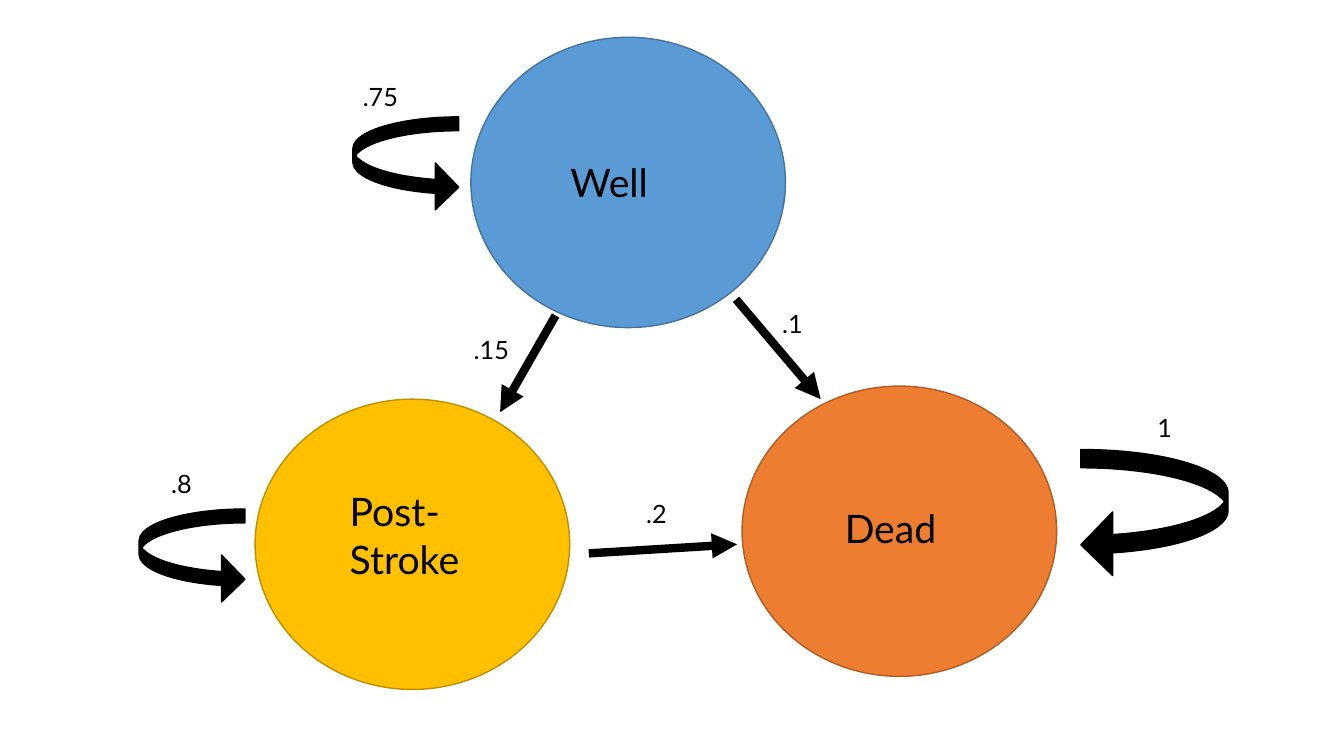
import pptx
import pptx.util
import pptx.dml.color
import pptx.enum.dml
import pptx.enum.shapes
import pptx.enum.text
import pptx.oxml.ns
import lxml.etree
import dataclasses


@dataclasses.dataclass
class Theme:
    font: str = "Lato"
    ink: str = "000000"
    well: tuple = ("5B9BD5", "43739E")
    stroke: tuple = ("FFC000", "BD8E00")
    dead: tuple = ("ED7D31", "AF5C24")
    state_size: int = 28
    label_size: int = 18
    outline: int = 1
    arrow: int = 6


theme = Theme()
Inches = pptx.util.Inches
MSO_SHAPE = pptx.enum.shapes.MSO_SHAPE
qn = pptx.oxml.ns.qn

prs = pptx.Presentation()
prs.slide_width = Inches(13.33)
prs.slide_height = Inches(7.5)
s = prs.slides.add_slide(prs.slide_layouts[6])


def add_text(text, left, top, width, height, size, color=theme.ink):
    tb = s.shapes.add_textbox(Inches(left), Inches(top), Inches(width), Inches(height))
    tf = tb.text_frame
    tf.word_wrap = True
    tf.auto_size = pptx.enum.text.MSO_AUTO_SIZE.SHAPE_TO_FIT_TEXT
    r = tf.paragraphs[0].add_run()
    r.text = text
    r.font.name = theme.font
    r.font.size = pptx.util.Pt(size)
    r.font.color.rgb = pptx.dml.color.RGBColor.from_string(color)


def add_filled(kind, left, top, width, height, fill, line):
    sp = s.shapes.add_shape(kind, Inches(left), Inches(top), Inches(width), Inches(height))
    sp.shadow.inherit = False
    sp.fill.solid()
    sp.fill.fore_color.rgb = pptx.dml.color.RGBColor.from_string(fill)
    sp.line.color.rgb = pptx.dml.color.RGBColor.from_string(line)
    sp.line.width = pptx.util.Pt(theme.outline)
    return sp


states = [
    ("Well", 4.67, 0.37, theme.well, 5.56, 1.52, 0.57),
    ("Post-Stroke", 2.53, 3.96, theme.stroke, 3.37, 4.79, 1.04),
    ("Dead", 7.36, 3.83, theme.dead, 8.28, 4.95, 0.57),
]
for name, left, top, colors, text_left, text_top, text_height in states:
    add_filled(MSO_SHAPE.OVAL, left, top, 3.12, 2.88, *colors)
    add_text(name, text_left, text_top, 1.65, text_height, theme.state_size)

transitions = [
    (5.51, 3.13, 4.96, 4.09),
    (7.3, 2.97, 8.14, 3.96),
    (5.84, 5.49, 7.31, 5.4),
]
for ends in transitions:
    cxn = s.shapes.add_connector(
        pptx.enum.shapes.MSO_CONNECTOR.STRAIGHT, *[Inches(v) for v in ends])
    cxn.line.color.rgb = pptx.dml.color.RGBColor.from_string(theme.ink)
    cxn.line.width = pptx.util.Pt(theme.arrow)
    lxml.etree.SubElement(cxn.line._get_or_add_ln(), qn("a:tailEnd"), type="triangle")
    lxml.etree.SubElement(cxn._element.spPr, qn("a:effectLst"))

self_loops = [
    (MSO_SHAPE.CURVED_RIGHT_ARROW, 3.5, 1.16, 1.05, 0.93, 0.148),
    (MSO_SHAPE.CURVED_RIGHT_ARROW, 1.38, 5.05, 1.05, 0.93, 0.148),
    (MSO_SHAPE.CURVED_LEFT_ARROW, 10.72, 4.46, 1.46, 1.26, 0.144),
]
for kind, left, top, width, height, thickness in self_loops:
    sp = add_filled(kind, left, top, width, height, theme.ink, theme.ink)
    for i, value in enumerate((thickness, 0.5, 0.25)):
        sp.adjustments[i] = value

probabilities = [
    (".75", 3.5, 0.76),
    (".15", 4.6, 3.27),
    (".8", 1.6, 4.6),
    (".2", 6.31, 4.89),
    (".1", 7.66, 3.01),
    ("1", 11.38, 4.04),
]
for value, left, top in probabilities:
    add_text(value, left, top, 0.69, 0.4, theme.label_size)

prs.save("out.pptx")
